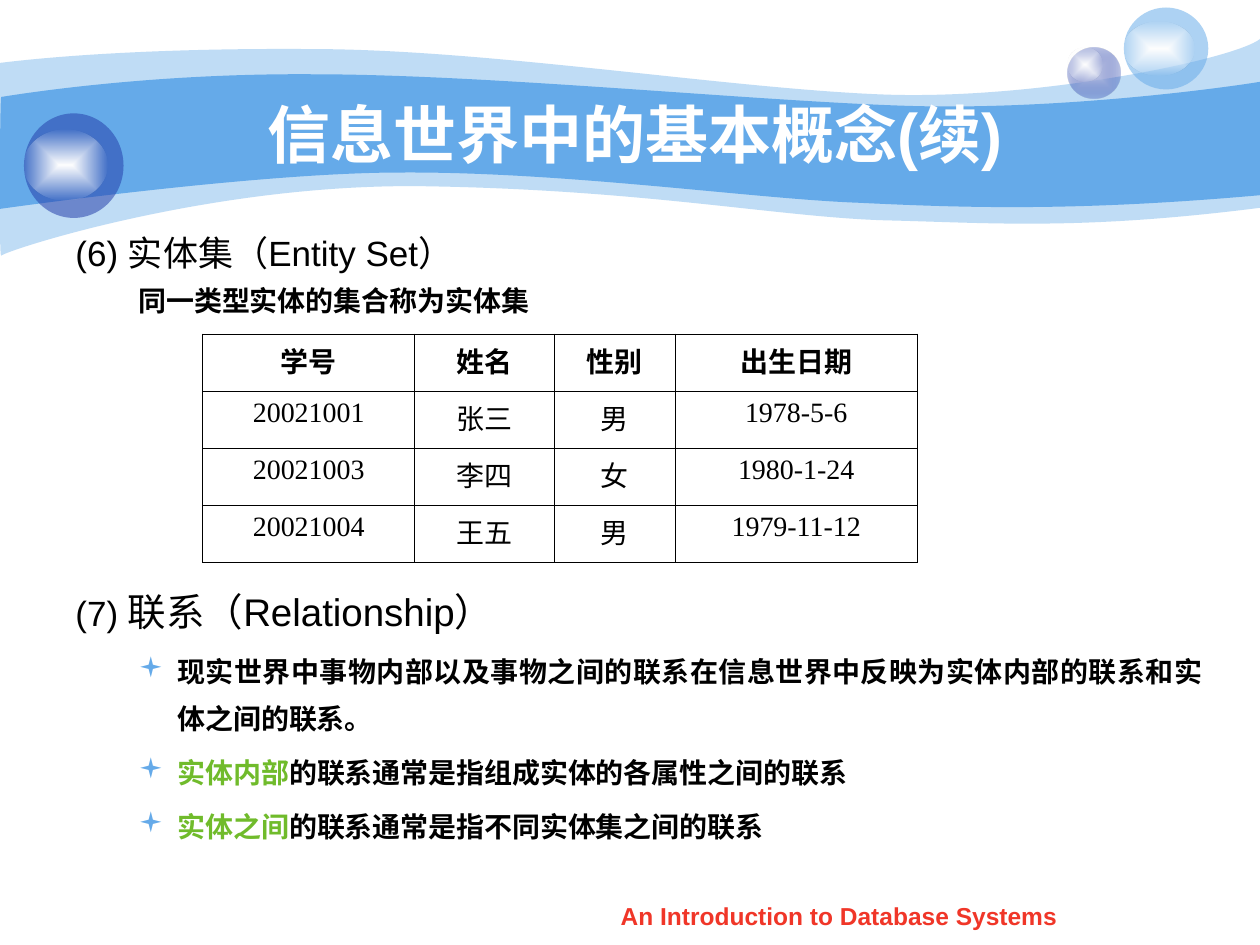
from lxml import etree
from pptx import Presentation, util as u
from pptx.dml.color import RGBColor
from pptx.enum import shapes, text
from pptx.oxml import parse_xml
from pptx.oxml.ns import nsdecls, qn

Inches, Pt = u.Inches, u.Pt
SKY, NAVY, GREEN, BLACK = "65AAE9", "233DA9", "70BB2B", "000000"


def paint(shape, stops):
    """Fill with one (colour, opacity) pair, or fade between two from the centre."""
    shape.shadow.inherit = False
    shape.line.fill.background()
    colours = [f'<a:srgbClr val="{c}"><a:alpha val="{a * 1000}"/></a:srgbClr>' for c, a in stops]
    if len(stops) == 1:
        xml = f'<a:solidFill {nsdecls("a")}>{colours[0]}</a:solidFill>'
    else:
        xml = (f'<a:gradFill {nsdecls("a")} rotWithShape="1"><a:gsLst>'
               f'<a:gs pos="0">{colours[0]}</a:gs><a:gs pos="100000">{colours[1]}</a:gs></a:gsLst>'
               '<a:path path="rect"><a:fillToRect l="50000" t="50000" r="50000" b="50000"/>'
               '</a:path></a:gradFill>')
    shape._element.spPr.find(qn("a:ln")).addprevious(parse_xml(xml))


def write(paragraph, words, size, color=BLACK, bold=False, face="Arial"):
    run = paragraph.add_run()
    run.text = words
    run.font.size, run.font.bold, run.font.name = Pt(size), bold, face
    run.font.color.rgb = RGBColor.from_string(color)


deck = Presentation()
deck.slide_width, deck.slide_height = Inches(10), Inches(7.5)
slide = deck.slides.add_slide(deck.slide_layouts[6])

# Wave bands: (start, segments, opacity); a segment is a line (x, y) or a cubic curve
waves = [
    ((0, 0.5), [(0.24, 0.47, 1.07, 0.38, 2.47, 0.39), (3.86, 0.39, 5.75, 0.7, 6.99, 0.75),
                (8.22, 0.8, 9.8, 0.47, 10, 0.31), (10, 1.65),
                (8.58, 1.83, 7.87, 1.77, 7.05, 1.75), (6.22, 1.73, 5.15, 1.51, 3.43, 1.48),
                (1.72, 1.44, 0.04, 1.99, 0.01, 2.03), (-0.01, 2.08, 0, 0.75, 0, 0.5)], 41),
    ((0.01, 0.77), [(0.02, 0.77, 1.1, 0.58, 2.48, 0.59), (3.86, 0.59, 5.95, 0.8, 7.18, 0.84),
                    (8.41, 0.88, 9.76, 0.69, 10, 0.65), (10, 1.55),
                    (8.53, 1.68, 7.65, 1.65, 6.82, 1.61), (5.99, 1.58, 4.47, 1.36, 3.17, 1.37),
                    (2.03, 1.37, -0.02, 1.66, -0.01, 1.66), (0, 1.66, 0, 0.77, 0.01, 0.77)], 100),
]
for start, segments, opacity in waves:
    builder = slide.shapes.build_freeform(*map(Inches, start))
    for segment in segments:
        lengths = [Inches(value) for value in segment]
        builder.add_line_segments(list(zip(lengths[::2], lengths[1::2])), close=False)
    wave = builder.convert_to_shape()
    # Turn each three points of a curved segment into one cubic curve
    outline = wave._element.find(".//" + qn("a:path"))
    lines = iter(outline.findall(qn("a:lnTo")))
    for segment in segments:
        corners = [next(lines) for _ in range(len(segment) // 2)]
        if len(corners) == 3:
            curve = etree.Element(qn("a:cubicBezTo"))
            corners[0].addprevious(curve)
            for corner in corners:
                curve.append(corner[0])
                outline.remove(corner)
    etree.SubElement(outline, qn("a:close"))
    paint(wave, [(SKY, opacity)])

# Bubbles, each followed by its highlight
shine = [("FFFFFF", 100), ("FEFEFE", 0)]
bubbles = [
    ((8.47, 0.38, 0.42, 0.4), [("C6CCE8", 100), (NAVY, 31)]), ((8.47, 0.38, 0.28, 0.27), shine),
    ((8.92, 0.06, 0.67, 0.65), [(SKY, 53)]), ((8.92, 0.17, 0.56, 0.43), shine),
    ((0.19, 0.9, 0.79, 0.83), [(NAVY, 53)]), ((0.19, 1.03, 0.66, 0.56), shine),
]
for place, stops in bubbles:
    paint(slide.shapes.add_shape(shapes.MSO_SHAPE.OVAL, *map(Inches, place)), stops)

# Text blocks: (place, anchor, paragraphs)
# paragraph: (align, left margin, first indent, line spacing, space before, bullet, runs)
center, justify = text.PP_ALIGN.CENTER, text.PP_ALIGN.JUSTIFY
top, middle = text.MSO_ANCHOR.TOP, text.MSO_ANCHOR.MIDDLE
point = (justify, 0.81, -0.31, 1.4, 4, "▪")
blocks = [
    ((1, 0.75, 8.08, 0.62), middle,
     [(center, 0, 0, 1, 0, None, [("信息世界中的基本概念(续)", 36, "FFFFFF", True)])]),
    ((0.5, 1.62, 9.15, 5.51), top, [
        (justify, 0.38, -0.38, 1.5, 0, None, [("(6) 实体集（Entity Set）", 20)]),
        (justify, 0.81, -0.31, 1.1, 4, None, [("同一类型实体的集合称为实体集", 16, BLACK, True)]),
        # The space before leaves room for the table
        (justify, 0.38, -0.38, 1.1, 152, None, [("(7) ", 20), ("联系（Relationship）", 22)]),
        (*point, [("现实世界中事物内部以及事物之间的联系在信息世界中反映为"
                   "实体内部的联系和实体之间的联系。", 16, BLACK, True)]),
        (*point, [("实体内部", 16, GREEN, True),
                  ("的联系通常是指组成实体的各属性之间的联系", 16, BLACK, True)]),
        (*point, [("实体之间", 16, GREEN, True),
                  ("的联系通常是指不同实体集之间的联系", 16, BLACK, True)])]),
    ((3.43, 7.1, 6.46, 0.35), top,
     [(center, 0, 0, 1, 0, None, [("An Introduction to Database Systems", 14, "F03628", True)])]),
]
for place, anchor, paragraphs in blocks:
    frame = slide.shapes.add_textbox(*map(Inches, place)).text_frame
    frame.word_wrap, frame.vertical_anchor = True, anchor
    for i, (align, margin, indent, spacing, before, bullet, runs) in enumerate(paragraphs):
        line = frame.add_paragraph() if i else frame.paragraphs[0]
        line.alignment, line.line_spacing, line.space_before = align, spacing, Pt(before)
        props = line._p.get_or_add_pPr()
        props.set("marL", str(Inches(margin)))
        props.set("indent", str(Inches(indent)))
        if bullet:
            etree.SubElement(etree.SubElement(props, qn("a:buClr")), qn("a:srgbClr")).set("val", SKY)
            etree.SubElement(props, qn("a:buFont")).set("typeface", "Wingdings")
            etree.SubElement(props, qn("a:buChar")).set("char", bullet)
        for run in runs:
            write(line, *run)

# Student table
students = [
    ("学号", "姓名", "性别", "出生日期"),
    ("20021001", "张三", "男", "1978-5-6"),
    ("20021003", "李四", "女", "1980-1-24"),
    ("20021004", "王五", "男", "1979-11-12"),
]
table = slide.shapes.add_table(4, 4, *map(Inches, (1.61, 2.65, 5.67, 1.81))).table
for column, width in zip(table.columns, (1.68, 1.11, 0.96, 1.92)):
    column.width = Inches(width)
for r, student in enumerate(students):
    for c, value in enumerate(student):
        cell = table.cell(r, c)
        cell.text_frame.paragraphs[0].alignment = center
        write(cell.text_frame.paragraphs[0], value, 16, bold=r == 0, face="Times New Roman")
        cell.fill.background()
        for place, side in enumerate(("lnL", "lnR", "lnT", "lnB")):
            cell._tc.get_or_add_tcPr().insert(place, parse_xml(
                f'<a:{side} {nsdecls("a")} w="{Pt(0.45)}"><a:solidFill><a:srgbClr val="{BLACK}"/>'
                f'</a:solidFill></a:{side}>'))

deck.save("out.pptx")
